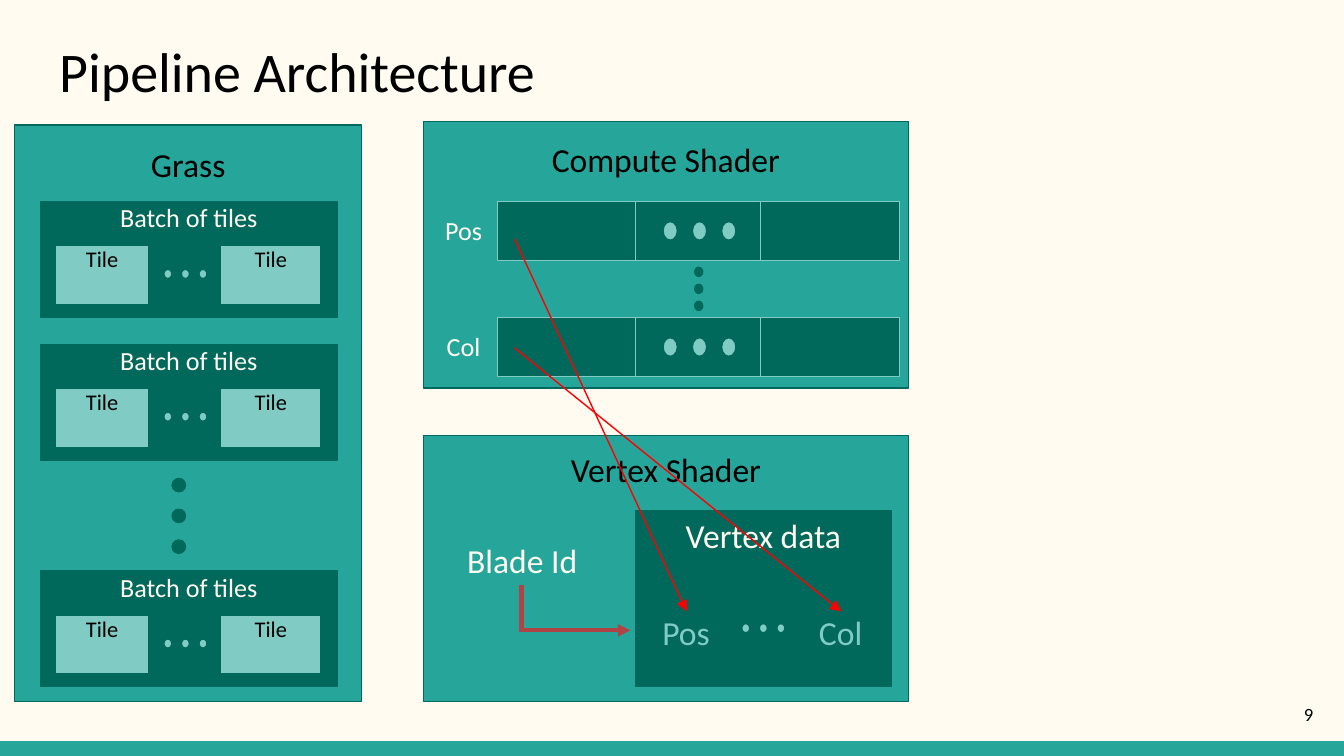
from dataclasses import dataclass

from lxml import etree
from pptx import Presentation
from pptx.dml.color import RGBColor
from pptx.enum.shapes import MSO_CONNECTOR, MSO_SHAPE
from pptx.enum.text import MSO_ANCHOR, PP_ALIGN
from pptx.oxml.ns import qn
from pptx.util import Pt

RECTANGLE, OVAL = MSO_SHAPE.RECTANGLE, MSO_SHAPE.OVAL
STRAIGHT = MSO_CONNECTOR.STRAIGHT
TOP, MIDDLE = MSO_ANCHOR.TOP, MSO_ANCHOR.MIDDLE
LEFT, CENTER, RIGHT = PP_ALIGN.LEFT, PP_ALIGN.CENTER, PP_ALIGN.RIGHT


@dataclass(frozen=True)
class Theme:
    font: str = "Calibri"
    cream: RGBColor = RGBColor.from_string("FFFBF0")
    teal: RGBColor = RGBColor.from_string("26A69A")
    dark: RGBColor = RGBColor.from_string("00695C")
    light: RGBColor = RGBColor.from_string("80CBC4")
    black: RGBColor = RGBColor.from_string("000000")
    red: RGBColor = RGBColor.from_string("FF0000")
    brick: RGBColor = RGBColor.from_string("AF4345")
    title: int = 30
    heading: int = 18
    label: int = 14
    tile: int = 12
    number: int = 10
    padding: float = 7.2
    thin: float = 0.75
    thick: float = 2.25


theme = Theme()
presentation = Presentation()
presentation.slide_width, presentation.slide_height = Pt(720), Pt(405)
slide = presentation.slides.add_slide(presentation.slide_layouts[5])
slide.background.fill.solid()
slide.background.fill.fore_color.rgb = theme.cream


def add_box(bounds, fill, line, kind=RECTANGLE):
    shape = slide.shapes.add_shape(kind, *map(Pt, bounds))
    shape.shadow.inherit = False
    shape.fill.solid()
    shape.fill.fore_color.rgb = fill
    shape.line.color.rgb = line
    shape.line.width = Pt(theme.thin)


def write(shape, text, size, color, align=CENTER, padding=0, anchor=TOP):
    """Fill a text box or placeholder with one formatted run."""
    frame = shape.text_frame
    frame.word_wrap = True
    frame.vertical_anchor = anchor
    frame.margin_left = frame.margin_right = Pt(padding)
    frame.margin_top = frame.margin_bottom = Pt(padding)
    paragraph = frame.paragraphs[0]
    paragraph.alignment = align
    run = paragraph.add_run()
    run.text = text
    run.font.name = theme.font
    run.font.size = Pt(size)
    run.font.color.rgb = color


# Title and footer bar
add_box((0, 397.5, 720, 7.5), theme.teal, theme.teal)
title = slide.shapes.title
title.left, title.top, title.width, title.height = Pt(24.5), Pt(12.2), Pt(671), Pt(48.2)
write(title, "Pipeline Architecture", theme.title, theme.black, LEFT, theme.padding)

# Panels: bounds, heading, heading top
panels = [
    ((7.9, 67, 185.8, 308.9), "Grass", 69.8),
    ((226.8, 65.2, 259.9, 142.6), "Compute Shader", 67),
    ((226.8, 233.3, 259.9, 142.6), "Vertex Shader", 233.3),
]
for bounds, heading, heading_top in panels:
    add_box(bounds, theme.teal, theme.dark)
    left, _, width, _ = bounds
    box = slide.shapes.add_textbox(Pt(left), Pt(heading_top), Pt(width), Pt(31.7))
    write(box, heading, theme.heading, theme.black, padding=theme.padding)

# Dot rows: left, top, step across, step down, width, height, colour
dot_rows = [
    (92.2, 256.3, 0, 16.5, 7.2, 7.2, theme.dark),
    (372.2, 143.2, 0, 9.1, 4.3, 4.9, theme.dark),
    (397.4, 334.1, 9.4, 0, 4.3, 4.9, theme.light),
]
# Labels: text, left, top, width, size, colour
labels = [
    ("Blade Id", 232.6, 289.4, 94.3, theme.heading, theme.cream),
    ("Vertex data", 340.6, 275.8, 136.8, theme.heading, theme.cream),
    ("Pos", 346.3, 327.6, 42.5, theme.heading, theme.light),
    ("Col", 429.1, 327.6, 42.5, theme.heading, theme.light),
]

# Batches of grass tiles
for batch_top in (108, 184.5, 306):
    add_box((21.6, batch_top, 159.1, 61.9), theme.dark, theme.dark)
    labels.append(("Batch of tiles", 21.6, batch_top, 159.1, theme.label, theme.cream))
    tile_top = batch_top + 23.5
    for tile_left, tile_width in ((29.5, 50.4), (118.1, 54)):
        add_box((tile_left, tile_top, tile_width, 31.7), theme.light, theme.dark)
        labels.append(("Tile", tile_left, tile_top, tile_width, theme.tile, theme.black))
    dot_rows.append((87.8, tile_top + 12.8, 9.4, 0, 4.3, 4.9, theme.light))

# Compute shader buffers
for name, buffer_top in (("Pos", 108), ("Col", 170.2)):
    for cell_left, cell_width in ((266.4, 74.2), (340.6, 67), (407.6, 74.2)):
        add_box((cell_left, buffer_top, cell_width, 31.5), theme.dark, theme.light)
    labels.append((name, 230.4, buffer_top + 6.8, 36, theme.label, theme.cream))
    dot_rows.append((355.2, buffer_top + 10.7, 15.7, 0, 7.7, 10, theme.light))

# Vertex data block
add_box((340.6, 273.6, 136.8, 94.3), theme.dark, theme.dark)

for left, top, step_x, step_y, width, height, color in dot_rows:
    for i in range(3):
        bounds = (left + i * step_x, top + i * step_y, width, height)
        add_box(bounds, color, theme.dark, OVAL)

for text, left, top, width, size, color in labels:
    box = slide.shapes.add_textbox(Pt(left), Pt(top), Pt(width), Pt(18.7))
    write(box, text, size, color)

# Lines: start and end, colour, width, arrowhead
lines = [
    ((279.4, 313.2, 279.4, 338.4), theme.brick, theme.thick, False),
    ((278.6, 337.7, 337.7, 337.7), theme.brick, theme.thick, True),
    ((275.8, 128.2, 367.9, 327.6), theme.red, theme.thin, True),
    ((275.8, 186.5, 450.7, 327.6), theme.red, theme.thin, True),
]
for ends, color, width, has_arrow in lines:
    connector = slide.shapes.add_connector(STRAIGHT, *map(Pt, ends))
    connector.line.color.rgb = color
    connector.line.width = Pt(width)
    properties = connector._element.spPr
    if has_arrow:
        etree.SubElement(properties.find(qn("a:ln")), qn("a:tailEnd"), type="triangle")
    etree.SubElement(properties, qn("a:effectLst"))

number_box = slide.shapes.add_textbox(Pt(667.4), Pt(367.2), Pt(43.2), Pt(31))
write(number_box, "9", theme.number, theme.black, RIGHT, theme.padding, MIDDLE)

presentation.save("out.pptx")
